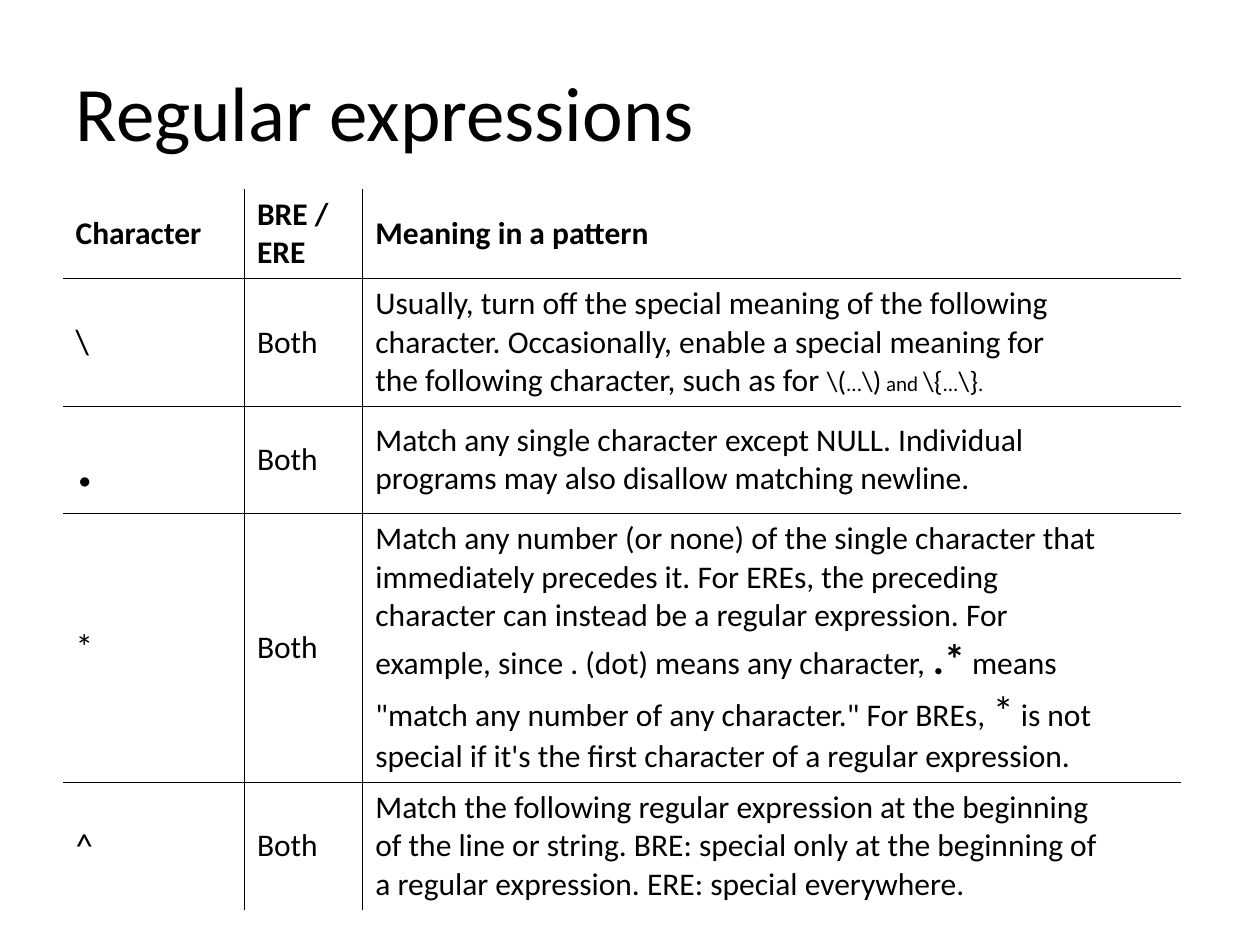
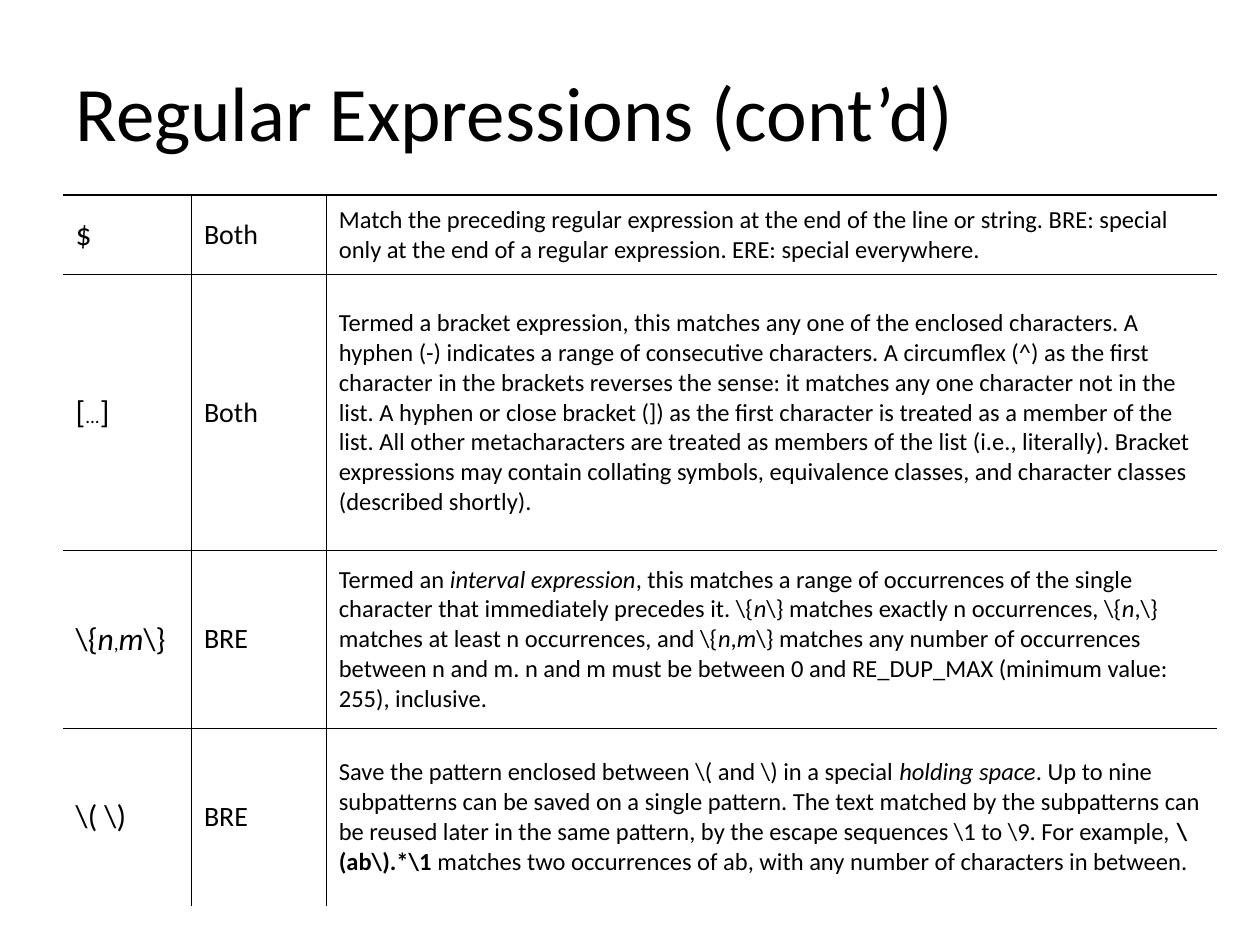
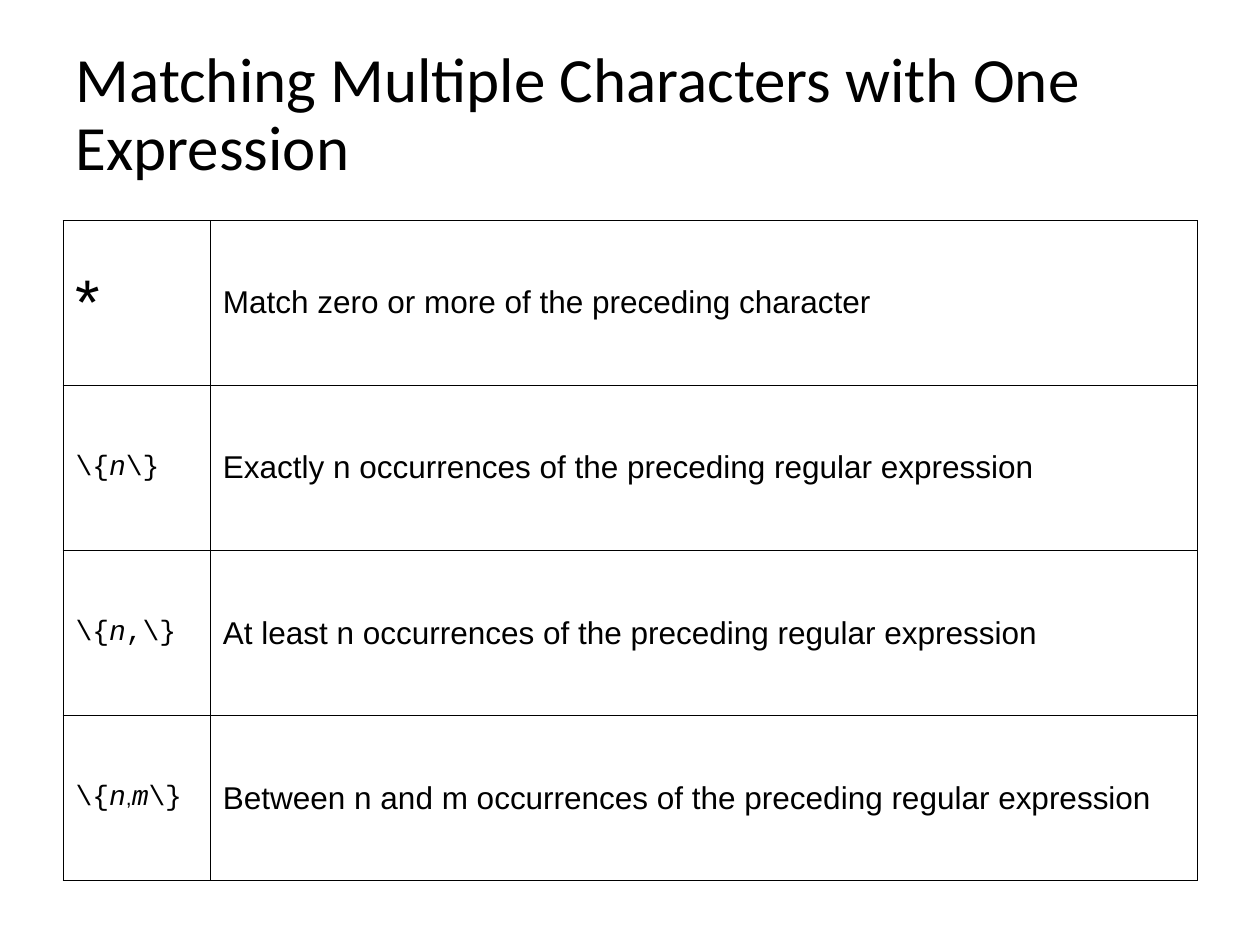
from lxml import etree
from pptx import Presentation
from pptx.dml.color import RGBColor
from pptx.enum.text import MSO_ANCHOR, MSO_AUTO_SIZE, PP_ALIGN
from pptx.oxml.ns import qn
from pptx.util import Inches, Pt

MIDDLE, LEFT = MSO_ANCHOR.MIDDLE, PP_ALIGN.LEFT
NO_AUTOFIT = MSO_AUTO_SIZE.NONE
TITLE_ONLY = 5

COLORS = {"text": "000000", "line": "000000"}
FONT = "Calibri"
TITLE_BOX = (0.5, 0.3, 9, 1.25)
TABLE_LEFT = 0.5
LINE_WIDTH = 0.45
HANGING = 0.38

# Run formats that differ from the column's own format
BOLD = {"bold": True}
ITALIC = {"italic": True}
TINY, SMALL = {"size": 11}, {"size": 12}
SYMBOL, DOT = {"size": 16}, {"size": 44}
BIG = {"size": 24}
ARIAL_SMALL = {"size": 12, "font": "Arial"}
ARIAL_BIG = {"size": 36, "font": "Arial"}

# A cell is a list of paragraphs, a paragraph is a text or a list of runs,
# and a run is a text or a (text, format) pair.
SLIDES = [
    {
        "title": "Regular expressions", "title_size": 44,
        "top": 1.5, "cols": [1.44, 0.94, 6.49], "rows": [0.7, 1, 0.83, 2.1, 1],
        "hanging": HANGING, "outer": {},
        "formats": [{"size": 20}, {"size": 18}, {"size": 18}],
        "cells": [
            [[[("Character", {"size": 18, "bold": True})]],
             [[("BRE /", BOLD)], [("ERE", BOLD)]],
             [[("Meaning in a pattern", BOLD)]]],
            [["\\"], ["Both"],
             ["Usually, turn off the special meaning of the following",
              "character. Occasionally, enable a special meaning for",
              ["the following character, such as for ", (r"\(", SYMBOL), ("...", SMALL),
               (r"\)", SYMBOL), (" and ", SMALL), (r"\{", SYMBOL), ("...", SMALL),
               (r"\}", SYMBOL), (".", SMALL)]]],
            [[[(".", DOT)]], ["Both"],
             ["Match any single character except NULL. Individual",
              "programs may also disallow matching newline."]],
            [["*"], ["Both"],
             ["Match any number (or none) of the single character that",
              "immediately precedes it. For EREs, the preceding",
              "character can instead be a regular expression. For",
              ["example, since . (dot) means any character, ",
               (".*", {**BIG, **BOLD}), " means"],
              ['"match any number of any character." For BREs, ', ("*", BIG), " is not"],
              "special if it's the first character of a regular expression."]],
            [["^"], ["Both"],
             ["Match the following regular expression at the beginning",
              "of the line or string. BRE: special only at the beginning of",
              "a regular expression. ERE: special everywhere."]],
        ],
    },
    {
        "title": "Regular Expressions (cont’d)", "title_size": 44,
        "top": 1.55, "cols": [1.02, 1.07, 7.07], "rows": [0.63, 2.19, 1.41, 1.41],
        "hanging": 0, "outer": {"T": 1.08},
        "formats": [{"size": 18}, {"size": 16}, {"size": 14}],
        "cells": [
            [["$"], ["Both"],
             ["Match the preceding regular expression at the end of the line or string. "
              "BRE: special only at the end of a regular expression. "
              "ERE: special everywhere."]],
            [[["[", ("...", TINY), "]"]], ["Both"],
             ["Termed a bracket expression, this matches any one of the enclosed "
              "characters. A hyphen (-) indicates a range of consecutive characters. "
              "A circumflex (^) as the first character in the brackets reverses the "
              "sense: it matches any one character not in the list. A hyphen or close "
              "bracket (]) as the first character is treated as a member of the list. "
              "All other metacharacters are treated as members of the list (i.e., "
              "literally). Bracket expressions may contain collating symbols, "
              "equivalence classes, and character classes (described shortly)."]],
            [[[r"\{", ("n", ITALIC), (",", TINY), ("m", ITALIC), r"\}"]], ["BRE"],
             [["Termed an ", ("interval expression", ITALIC),
               ", this matches a range of occurrences of the single character that "
               r"immediately precedes it. \{", ("n", ITALIC),
               r"\} matches exactly n occurrences, \{", ("n", ITALIC),
               r",\} matches at least n occurrences, and \{", ("n", ITALIC), ",",
               ("m", ITALIC),
               r"\} matches any number of occurrences between n and m. n and m must "
               "be between 0 and RE_DUP_MAX (minimum value: 255), inclusive."]]],
            [[r"\( \)"], ["BRE"],
             [[r"Save the pattern enclosed between \( and \) in a special ",
               ("holding space", ITALIC),
               ". Up to nine subpatterns can be saved on a single pattern. The text "
               "matched by the subpatterns can be reused later in the same pattern, "
               r"by the escape sequences \1 to \9. For example, ",
               (r"\(ab\).*\1", BOLD),
               " matches two occurrences of ab, with any number of characters in "
               "between."]]],
        ],
    },
    {
        "title": "Matching Multiple Characters with One Expression", "title_size": 36,
        "top": 1.75, "cols": [1.17, 7.83], "rows": [1.31] * 4,
        "hanging": HANGING, "outer": dict.fromkeys("LRTB", LINE_WIDTH),
        "formats": [{"size": 16, "font": "Courier New"}, {"size": 18, "font": "Arial"}],
        "cells": [
            [[[("*", ARIAL_BIG)]], ["Match zero or more of the preceding character"]],
            [[[r"\{", ("n", ITALIC), r"\}"]],
             ["Exactly n occurrences of the preceding regular expression"]],
            [[[r"\{", ("n", ITALIC), r",\}"]],
             ["At least n occurrences of the preceding regular expression"]],
            [[[r"\{", ("n", ITALIC), (",", ARIAL_SMALL), ("m", ITALIC), r"\}"]],
             ["Between n and m occurrences of the preceding regular expression"]],
        ],
    },
]


def add_run(p, text, size=18, font=FONT, bold=False, italic=False, color="text"):
    r = p.add_run()
    r.text = text
    r.font.size, r.font.name = Pt(size), font
    r.font.bold, r.font.italic = bold, italic
    r.font.color.rgb = RGBColor.from_string(COLORS[color])


def add_title(s, text, size):
    sp = s.shapes.title
    sp.left, sp.top, sp.width, sp.height = map(Inches, TITLE_BOX)
    tf = sp.text_frame
    tf.word_wrap, tf.auto_size, tf.vertical_anchor = True, NO_AUTOFIT, MIDDLE
    p = tf.paragraphs[0]
    p.alignment, p.line_spacing = LEFT, 0.9
    add_run(p, text, size=size)


def set_border(cell, side, width):
    ln = etree.SubElement(cell._tc.get_or_add_tcPr(), qn(f"a:ln{side}"))
    if width:
        ln.set("w", str(Pt(width)))
        fill = etree.SubElement(ln, qn("a:solidFill"))
        etree.SubElement(fill, qn("a:srgbClr"), val=COLORS["line"])
    else:
        etree.SubElement(ln, qn("a:noFill"))


def fill_cell(cell, paragraphs, fmt, hanging):
    cell.vertical_anchor = MIDDLE
    tf = cell.text_frame
    for i, runs in enumerate(paragraphs):
        p = tf.add_paragraph() if i else tf.paragraphs[0]
        if hanging:
            pPr = p._p.get_or_add_pPr()
            pPr.set("marL", str(Inches(hanging)))
            pPr.set("indent", str(-Inches(hanging)))
        for run in [runs] if isinstance(runs, str) else runs:
            text, own = (run, {}) if isinstance(run, str) else run
            add_run(p, text, **{**fmt, **own})


def add_grid(s, data):
    cols, rows = data["cols"], data["rows"]
    table = s.shapes.add_table(
        len(rows), len(cols), Inches(TABLE_LEFT), Inches(data["top"]),
        Inches(sum(cols)), Inches(sum(rows))).table
    table.first_row = table.horz_banding = False
    for column, width in zip(table.columns, cols):
        column.width = Inches(width)
    for row, height in zip(table.rows, rows):
        row.height = Inches(height)

    for i, contents in enumerate(data["cells"]):
        for j, paragraphs in enumerate(contents):
            cell = table.cell(i, j)
            fill_cell(cell, paragraphs, data["formats"][j], data["hanging"])
            # Inner lines are always drawn, outer ones only where listed
            on_edge = {"L": j == 0, "R": j == len(cols) - 1,
                       "T": i == 0, "B": i == len(rows) - 1}
            for side, edge in on_edge.items():
                set_border(cell, side, data["outer"].get(side) if edge else LINE_WIDTH)
            cell.fill.background()


def main():
    prs = Presentation()
    prs.slide_width, prs.slide_height = Inches(10), Inches(7.5)
    for data in SLIDES:
        s = prs.slides.add_slide(prs.slide_layouts[TITLE_ONLY])
        add_title(s, data["title"], data["title_size"])
        add_grid(s, data)
    prs.save("out.pptx")


if __name__ == "__main__":
    main()
